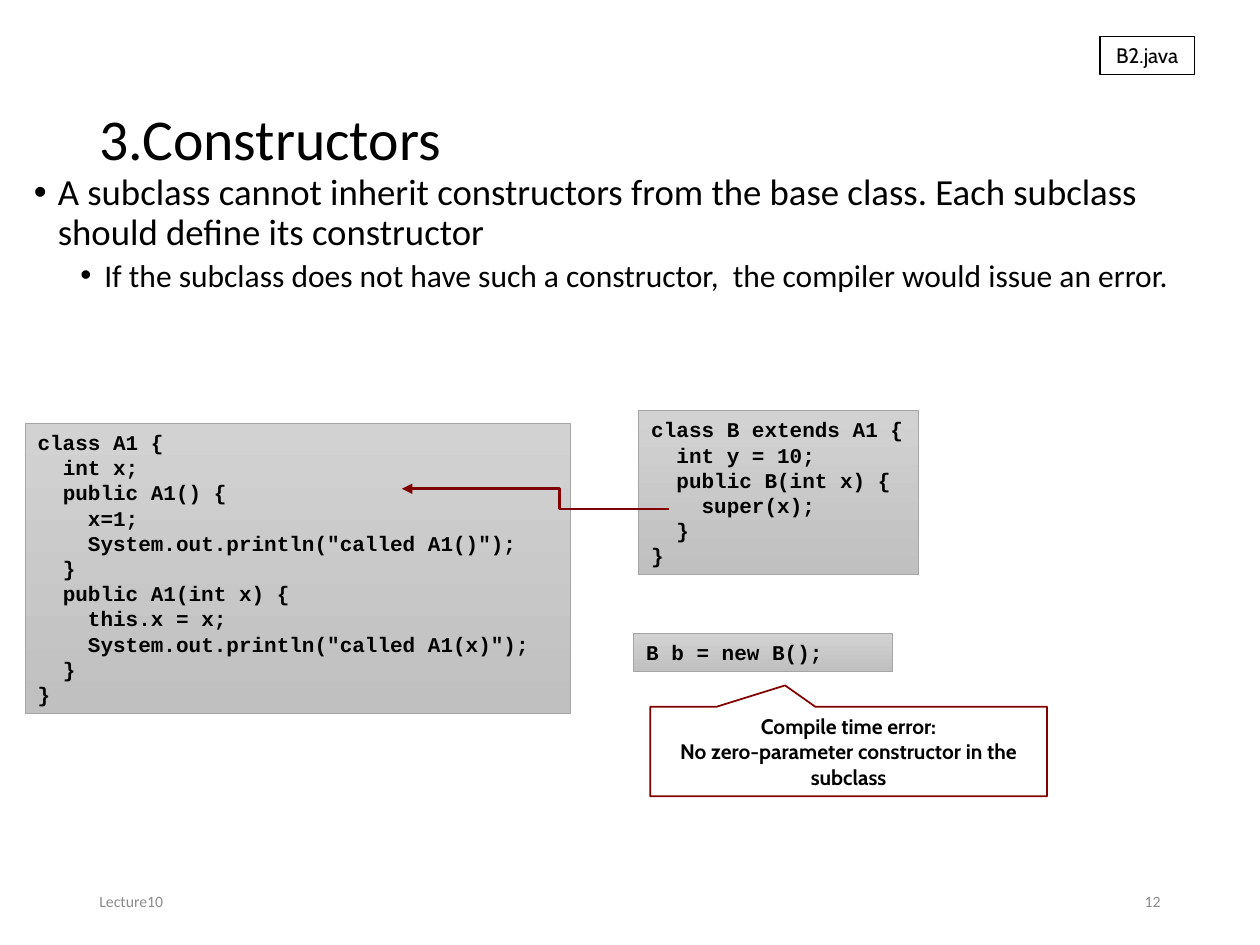
import dataclasses

import pptx
import pptx.dml.color
import pptx.enum.shapes
import pptx.enum.text
import pptx.oxml
import pptx.oxml.ns
import pptx.util

ALIGN = pptx.enum.text.PP_ALIGN
ANCHOR = pptx.enum.text.MSO_ANCHOR
SHAPE = pptx.enum.shapes.MSO_SHAPE
CELL = 0.1


@dataclasses.dataclass(frozen=True)
class Theme:
    ink: str = "000000"
    muted: str = "8C8C8C"
    paper: str = "FFFFFF"
    accent: str = "800000"
    code_top: str = "D2D2D2"
    code_bottom: str = "C0C0C0"
    code_line: str = "A5A5A5"
    body_font: str = "Calibri"
    label_font: str = "Cabin"
    code_font: str = "Courier New"
    title_size: float = 33
    bullet_sizes: tuple = (21, 18)
    bullet_gaps: tuple = (7.5, 3.8)
    bullet_indents: tuple = (0.19, 0.56)
    hanging: float = 0.19
    label_size: float = 12
    footer_size: float = 9
    code_indent: float = 0.2


@dataclasses.dataclass(frozen=True)
class Box:
    col: float
    row: float
    cols: float
    rows: float

    def place(self):
        return [pptx.util.Inches(n * CELL) for n in (self.col, self.row, self.cols, self.rows)]


T = Theme()


def rgb(value):
    return pptx.dml.color.RGBColor.from_string(value)


def add_run(p, text, font, size, color=T.ink, bold=False):
    r = p.add_run()
    r.text = text
    r.font.name = font
    r.font.size = pptx.util.Pt(size)
    r.font.bold = bold
    r.font.color.rgb = rgb(color)


def paragraphs(tf, items):
    for i, item in enumerate(items):
        yield (tf.add_paragraph() if i else tf.paragraphs[0]), item


def indent(p, left, first=0):
    pPr = p._p.get_or_add_pPr()
    pPr.set("marL", str(pptx.util.Inches(left)))
    pPr.set("indent", str(pptx.util.Inches(first)))
    return pPr


def add_panel(s, box, kind, line, width, anchor=ANCHOR.MIDDLE):
    sp = s.shapes.add_shape(kind, *box.place())
    sp.shadow.inherit = False
    sp.line.color.rgb = rgb(line)
    sp.line.width = pptx.util.Pt(width)
    sp.text_frame.word_wrap = True
    sp.text_frame.vertical_anchor = anchor
    return sp


def add_title(s, box, text):
    sp = s.shapes.title
    sp.left, sp.top, sp.width, sp.height = box.place()
    tf = sp.text_frame
    tf.vertical_anchor = ANCHOR.MIDDLE
    p = tf.paragraphs[0]
    p.alignment = ALIGN.LEFT
    p.line_spacing = 0.9
    add_run(p, text, T.body_font, T.title_size)


def add_bullets(s, box, items):
    tf = s.shapes.add_textbox(*box.place()).text_frame
    tf.word_wrap = True
    for p, (level, text) in paragraphs(tf, items):
        p.level = level
        p.line_spacing = 0.9
        p.space_before = pptx.util.Pt(T.bullet_gaps[level])
        pPr = indent(p, T.bullet_indents[level] if level else T.hanging, -T.hanging)
        ns = pptx.oxml.ns.nsdecls("a")
        pPr.append(pptx.oxml.parse_xml(f'<a:buFont {ns} typeface="Arial"/>'))
        pPr.append(pptx.oxml.parse_xml(f'<a:buChar {ns} char="•"/>'))
        add_run(p, text, T.body_font, T.bullet_sizes[level])


def add_code(s, box, lines):
    sp = add_panel(s, box, SHAPE.RECTANGLE, T.code_line, 0.5, ANCHOR.TOP)
    sp.fill.gradient()
    sp.fill.gradient_angle = 270
    for stop, color in zip(sp.fill.gradient_stops, (T.code_top, T.code_bottom)):
        stop.color.rgb = rgb(color)
    for p, (depth, text) in paragraphs(sp.text_frame, lines):
        p.alignment = ALIGN.LEFT
        indent(p, depth * T.code_indent)
        add_run(p, text, T.code_font, T.label_size, bold=True)


def add_file_label(s, box, text):
    sp = add_panel(s, box, SHAPE.RECTANGLE, T.ink, 0.75)
    sp.fill.background()
    sp.text_frame.word_wrap = False
    p = sp.text_frame.paragraphs[0]
    p.alignment = ALIGN.CENTER
    add_run(p, text, T.label_font, T.label_size)


def add_callout(s, box, lines):
    sp = add_panel(s, box, SHAPE.RECTANGULAR_CALLOUT, T.accent, 1)
    sp.adjustments[0], sp.adjustments[1] = -0.16, -0.74
    sp.fill.solid()
    sp.fill.fore_color.rgb = rgb(T.paper)
    for p, text in paragraphs(sp.text_frame, lines):
        p.alignment = ALIGN.CENTER
        add_run(p, text, T.label_font, T.label_size, bold=True)


def add_call_arrow(s, box, bend):
    left, top, width, height = box.place()
    cn = s.shapes.add_connector(
        pptx.enum.shapes.MSO_CONNECTOR.ELBOW, left + width, top + height, left, top)
    cn.line.color.rgb = rgb(T.accent)
    cn.line.width = pptx.util.Pt(1.5)
    ns = pptx.oxml.ns.nsdecls("a")
    spPr = cn._element.spPr
    guides = spPr.find(pptx.oxml.ns.qn("a:prstGeom")).get_or_add_avLst()
    guides.append(pptx.oxml.parse_xml(
        f'<a:gd {ns} name="adj1" fmla="val {round(bend * 100000)}"/>'))
    cn.line._get_or_add_ln().append(pptx.oxml.parse_xml(f'<a:tailEnd {ns} type="triangle"/>'))
    spPr.append(pptx.oxml.parse_xml(f"<a:effectLst {ns}/>"))


def add_footer(s, box, left_text, right_text):
    cols = 22.5
    starts = (box.col, box.col + box.cols - cols)
    for col, text, align in zip(starts, (left_text, right_text), (ALIGN.LEFT, ALIGN.RIGHT)):
        tf = s.shapes.add_textbox(*Box(col, box.row, cols, box.rows).place()).text_frame
        tf.word_wrap = True
        tf.vertical_anchor = ANCHOR.MIDDLE
        p = tf.paragraphs[0]
        p.alignment = align
        add_run(p, text, T.body_font, T.footer_size, T.muted)


def main():
    prs = pptx.Presentation()
    prs.slide_width, prs.slide_height = pptx.util.Inches(10), pptx.util.Inches(7.5)
    s = prs.slides.add_slide(prs.slide_layouts.get_by_name("Title Only"))
    add_title(s, Box(6.9, 4, 86.2, 14.5), "3.Constructors")
    add_bullets(s, Box(1.7, 13.3, 95.8, 17.8), [
        (0, "A subclass cannot inherit constructors from the base class. "
            "Each subclass should define its constructor"),
        (1, "If the subclass does not have such a constructor,  "
            "the compiler would issue an error."),
    ])
    add_footer(s, Box(6.9, 69.5, 86.2, 4), "Lecture10", "12")
    add_code(s, Box(2, 33.6, 43.3, 23), [
        (0, "class A1 {"),
        (1, "int x;"),
        (1, "public A1() {"),
        (2, "x=1;"),
        (2, 'System.out.println("called A1()");'),
        (1, "}"),
        (1, "public A1(int x) {"),
        (2, "this.x = x;"),
        (2, 'System.out.println("called A1(x)");'),
        (1, "}"),
        (0, "}"),
    ])
    add_file_label(s, Box(87.3, 2.9, 7.5, 3), "B2.java")
    add_code(s, Box(50.7, 32.6, 22.2, 13), [
        (0, "class B extends A1 {"),
        (1, "int y = 10;"),
        (1, "public B(int x) {"),
        (2, "super(x);"),
        (1, "}"),
        (0, "}"),
    ])
    add_code(s, Box(50.3, 50.3, 20.5, 3), [(0, "B b = new B();")])
    add_callout(s, Box(51.6, 56.1, 31.5, 7.1), [
        "Compile time error:", "No zero-parameter constructor in the subclass"])
    add_call_arrow(s, Box(31.9, 38.8, 21.2, 1.6), 0.41)
    prs.save("out.pptx")


if __name__ == "__main__":
    main()
